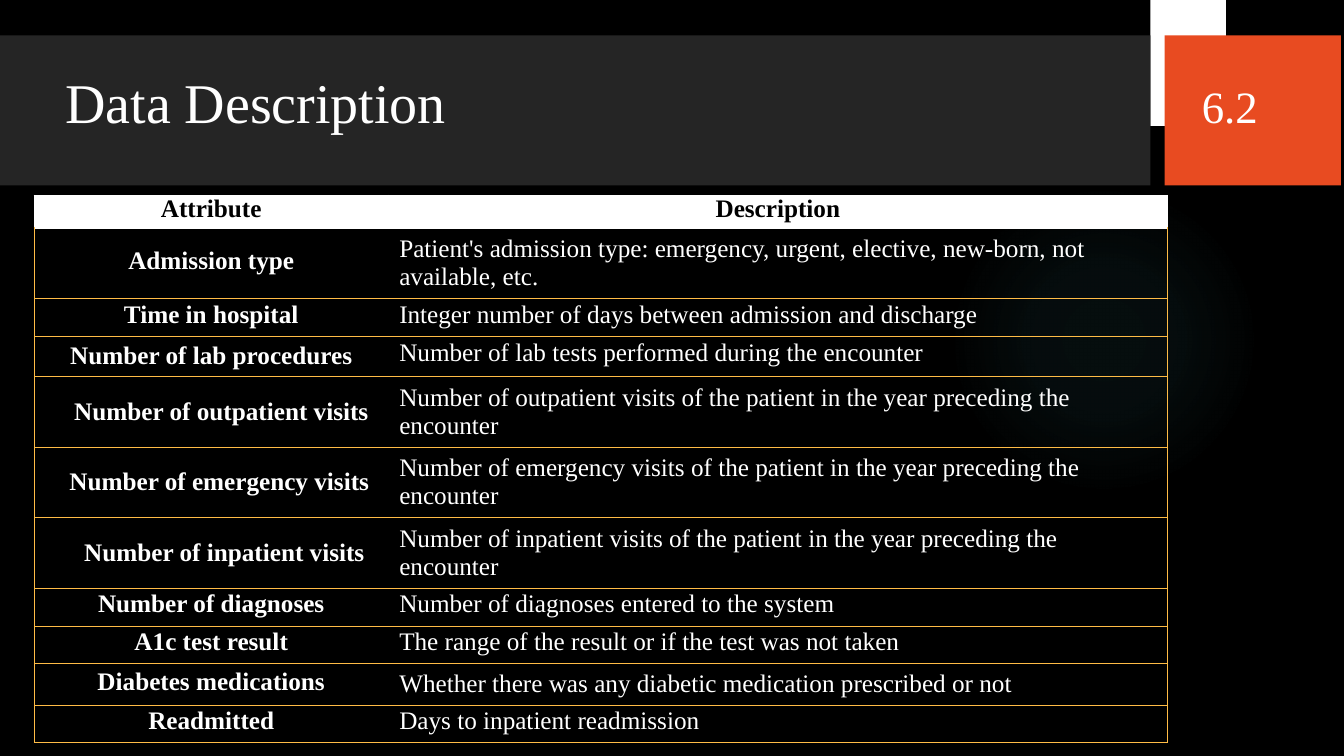
from lxml import etree
from pptx import Presentation
from pptx.dml.color import RGBColor
from pptx.enum.shapes import MSO_SHAPE
from pptx.enum.text import MSO_ANCHOR, PP_ALIGN
from pptx.oxml import parse_xml
from pptx.oxml.ns import qn
from pptx.util import Inches, Pt

RECTANGLE, ELLIPSE = MSO_SHAPE.RECTANGLE, MSO_SHAPE.OVAL
MIDDLE = MSO_ANCHOR.MIDDLE
CENTER, LEFT = PP_ALIGN.CENTER, PP_ALIGN.LEFT
DRAWING_NS = "http://schemas.openxmlformats.org/drawingml/2006/main"

FONT = "Times New Roman"
BLACK, WHITE, CHARCOAL = "000000", "FFFFFF", "252525"
ORANGE, AMBER, TEAL = "E84B21", "FFBC46", "50B9C1"

TITLE = ("Data Description", 40, 1.1, (0.64, 0.66, 4.56, 1.48))
SECTION = ("6.2", 32, 1, (11.91, 0.77, 0.66, 0.61))
BLOCKS = [
    (WHITE, (11.41, 0, 0.75, 1.25)),
    (CHARCOAL, (0, 0.35, 11.41, 1.49)),
    (ORANGE, (11.55, 0.35, 1.75, 1.49)),
]
GLOW_BOX = (9.41, 1.83, 3.08, 3.08)
GLOW_STOPS = [(0, 7), (36, 6), (69, 0)]  # position and opacity, percent

TABLE_LEFT, TABLE_TOP = 0.34, 1.94
COLUMN_WIDTHS = [3.51, 7.73]
HEADER = ("Attribute", "Description")
HEADER_HEIGHT = 0.32
# attribute, description, row height, line spacing of each cell in points
ATTRIBUTES = [
    ("Admission type",
     "Patient's admission type: emergency, urgent, elective, new-born, not available, etc.",
     0.66, (16, None)),
    ("Time in hospital", "Integer number of days between admission and discharge",
     0.37, (16, 16)),
    ("Number of lab procedures", "Number of lab tests performed during the encounter",
     0.38, (None, 16)),
    ("Number of outpatient visits",
     "Number of outpatient visits of the patient in the year preceding the encounter",
     0.66, (None, None)),
    ("Number of emergency visits",
     "Number of emergency visits of the patient in the year preceding the encounter",
     0.66, (None, None)),
    ("Number of inpatient visits",
     "Number of inpatient visits of the patient in the year preceding the encounter",
     0.66, (None, None)),
    ("Number of diagnoses", "Number of diagnoses entered to the system",
     0.38, (15.9, 15.9)),
    ("A1c test result", "The range of the result or if the test was not taken",
     0.37, (15.9, 15.9)),
    ("Diabetes medications", "Whether there was any diabetic medication prescribed or not",
     0.41, (15.9, None)),
    ("Readmitted", "Days to inpatient readmission", 0.37, (15.9, 15.9)),
]
# left margin and first-line indent
INDENTS = {
    "Number of outpatient visits": (0.93, -0.73),
    "Number of emergency visits": (0.93, -0.77),
    "Number of inpatient visits": (0.93, -0.67),
}


def color(value):
    return RGBColor.from_string(value)


def inches(box):
    return [Inches(length) for length in box]


def format_runs(paragraph, size, text_color, bold=False):
    for run in paragraph.runs:
        run.font.name = FONT
        run.font.size = Pt(size)
        run.font.bold = bold
        run.font.color.rgb = color(text_color)


def add_block(slide, kind, fill, box):
    block = slide.shapes.add_shape(kind, *inches(box))
    block.shadow.inherit = False
    block.line.fill.background()
    block.fill.solid()
    block.fill.fore_color.rgb = color(fill)
    return block


def add_glow(slide):
    """Add the ellipse that fades out from its centre."""
    glow = add_block(slide, ELLIPSE, TEAL, GLOW_BOX)
    stops = "".join(
        f'<a:gs pos="{position * 1000}"><a:srgbClr val="{TEAL}">'
        f'<a:alpha val="{opacity * 1000}"/></a:srgbClr></a:gs>'
        for position, opacity in GLOW_STOPS)
    gradient = parse_xml(
        f'<a:gradFill xmlns:a="{DRAWING_NS}"><a:gsLst>{stops}</a:gsLst>'
        '<a:path path="circle"><a:fillToRect l="50000" t="50000" r="50000" b="50000"/>'
        '</a:path></a:gradFill>')
    properties = glow.fill._xPr
    properties.replace(properties.find(qn("a:solidFill")), gradient)


def add_label(slide, text, size, space_before, box):
    frame = slide.shapes.add_textbox(*inches(box)).text_frame
    frame.word_wrap = True
    frame.margin_left = frame.margin_right = frame.margin_bottom = 0
    frame.margin_top = Inches(0.01)
    frame.text = text
    paragraph = frame.paragraphs[0]
    paragraph.space_before = Pt(space_before)
    set_indent(paragraph, 0.01, 0)
    format_runs(paragraph, size, WHITE)


def set_indent(paragraph, margin, first_line):
    properties = paragraph._p.get_or_add_pPr()
    properties.set("marL", str(Inches(margin)))
    properties.set("indent", str(Inches(first_line)))


def set_borders(cell, borders):
    """Draw the sides in borders, given as side: (colour, points); clear the rest."""
    properties = cell._tc.get_or_add_tcPr()
    for side in "LRTB":
        line = etree.SubElement(properties, qn(f"a:ln{side}"))
        if side in borders:
            line_color, points = borders[side]
            line.set("w", str(Pt(points)))
            fill = etree.SubElement(line, qn("a:solidFill"))
            etree.SubElement(fill, qn("a:srgbClr")).set("val", line_color)
        else:
            etree.SubElement(line, qn("a:noFill"))


def fill_cell(cell, text, is_header, is_attribute, spacing):
    thin, thick = (AMBER, 0.5), (WHITE, 0.96)
    if is_header:
        set_borders(cell, dict.fromkeys("LRTB", thick))
        cell.fill.solid()
        cell.fill.fore_color.rgb = color(WHITE)
    else:
        outer_side = "L" if is_attribute else "R"
        set_borders(cell, dict.fromkeys(outer_side + "TB", thin))
        cell.fill.background()
    cell.vertical_anchor = MIDDLE
    cell.text_frame.text = text
    paragraph = cell.text_frame.paragraphs[0]
    centered = is_header or is_attribute
    paragraph.alignment = CENTER if centered else LEFT
    set_indent(paragraph, *INDENTS.get(text, (0, 0) if centered else (0.01, 0)))
    if spacing:
        paragraph.line_spacing = Pt(spacing)
    format_runs(paragraph, 18, BLACK if is_header else WHITE, bold=centered)


def add_attribute_table(slide):
    rows = [(*HEADER, HEADER_HEIGHT, (16, 16)), *ATTRIBUTES]
    box = (TABLE_LEFT, TABLE_TOP, sum(COLUMN_WIDTHS), sum(row[2] for row in rows))
    table = slide.shapes.add_table(len(rows), len(COLUMN_WIDTHS), *inches(box)).table
    table.horz_banding = False
    for column, width in zip(table.columns, COLUMN_WIDTHS):
        column.width = Inches(width)
    for r, (attribute, description, height, spacings) in enumerate(rows):
        table.rows[r].height = Inches(height)
        for c, text in enumerate((attribute, description)):
            fill_cell(table.cell(r, c), text, r == 0, c == 0, spacings[c])


def main():
    deck = Presentation()
    deck.slide_width, deck.slide_height = Inches(13.33), Inches(7.5)
    slide = deck.slides.add_slide(deck.slide_layouts[6])
    slide.background.fill.solid()
    slide.background.fill.fore_color.rgb = color(BLACK)
    add_glow(slide)
    for fill, box in BLOCKS:
        add_block(slide, RECTANGLE, fill, box)
    add_label(slide, *TITLE)
    add_attribute_table(slide)
    add_label(slide, *SECTION)
    deck.save("out.pptx")


if __name__ == "__main__":
    main()
